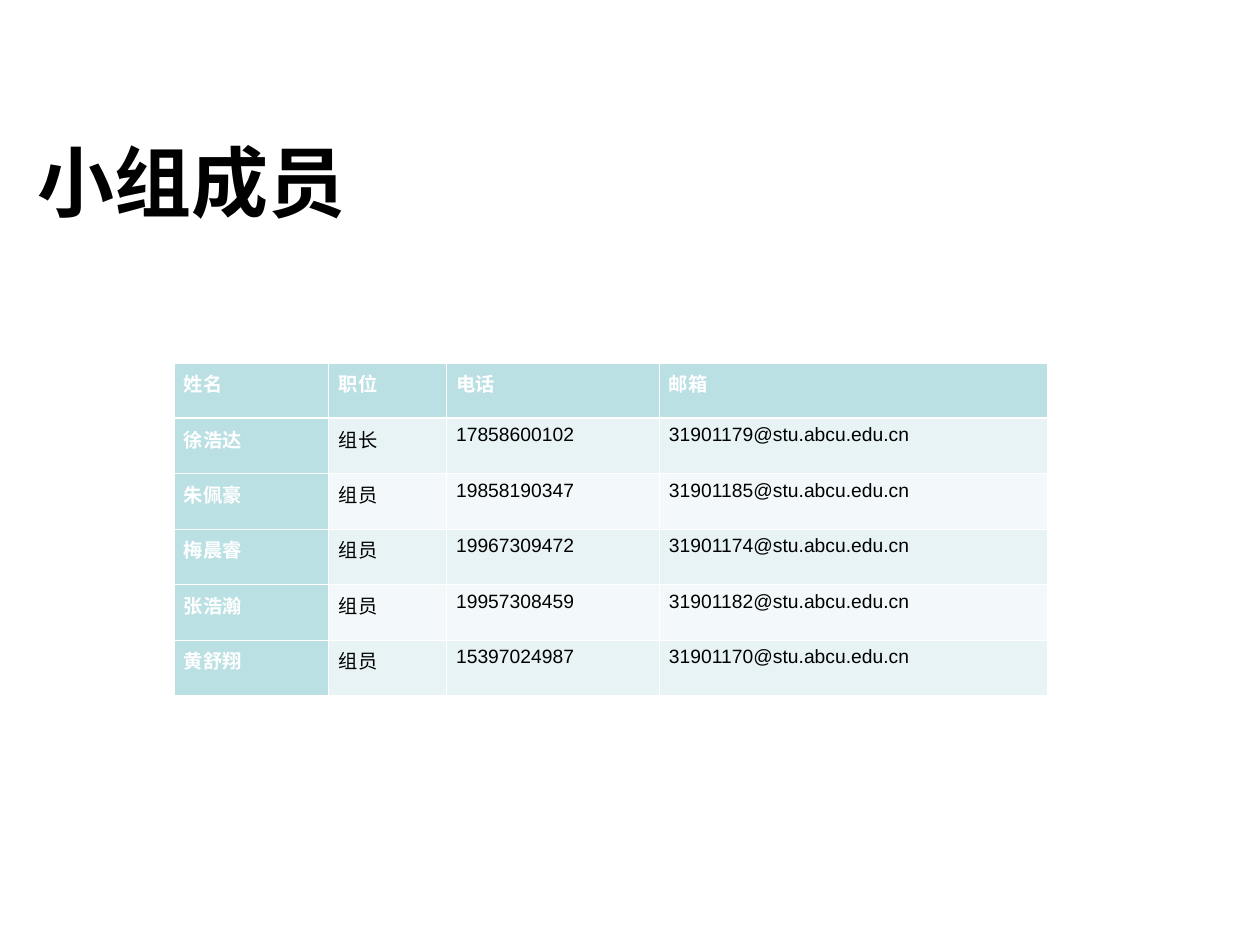
from lxml.etree import SubElement
from pptx import Presentation
from pptx.dml.color import RGBColor
from pptx.enum.text import MSO_ANCHOR, PP_ALIGN
from pptx.oxml.ns import qn
from pptx.util import Inches, Pt

COLORS = {
    "black": "000000",
    "white": "FFFFFF",
    "header": "BBE0E3",
    "odd_row": "E7F3F4",
    "even_row": "F3F9FA",
}
FONT = "Arial"
THIN, THICK = 0.45, 1.47
COLUMN_WIDTHS = [1.23, 0.93, 1.69, 3.08]
ROW_HEIGHT = 0.44
HEADINGS = ["姓名", "职位", "电话", "邮箱"]
MEMBERS = [
    ["徐浩达", "组长", "17858600102", "31901179@stu.abcu.edu.cn"],
    ["朱佩豪", "组员", "19858190347", "31901185@stu.abcu.edu.cn"],
    ["梅晨睿", "组员", "19967309472", "31901174@stu.abcu.edu.cn"],
    ["张浩瀚", "组员", "19957308459", "31901182@stu.abcu.edu.cn"],
    ["黄舒翔", "组员", "15397024987", "31901170@stu.abcu.edu.cn"],
]


def color(name):
    return RGBColor.from_string(COLORS[name])


def write_text(text_frame, text, size, color_name, bold, alignment):
    text_frame.text = text
    paragraph = text_frame.paragraphs[0]
    paragraph.alignment = alignment
    font = paragraph.runs[0].font
    font.name = FONT
    font.size = Pt(size)
    font.bold = bold
    font.color.rgb = color(color_name)


def add_title(slide, text):
    shape = slide.shapes.add_textbox(Inches(0.2), Inches(0.52), Inches(8.66), Inches(1.83))
    shape.text_frame.word_wrap = True
    shape.text_frame.vertical_anchor = MSO_ANCHOR.MIDDLE
    write_text(shape.text_frame, text, 44, "black", True, PP_ALIGN.LEFT)


def set_borders(cell, top, bottom):
    properties = cell._tc.get_or_add_tcPr()
    widths = {"a:lnL": THIN, "a:lnR": THIN, "a:lnT": top, "a:lnB": bottom}
    for tag, width in widths.items():
        line = SubElement(properties, qn(tag), w=str(Pt(width)))
        fill = SubElement(line, qn("a:solidFill"))
        SubElement(fill, qn("a:srgbClr"), val=COLORS["white"])


def format_cell(cell, text, row, column):
    is_heading = row == 0 or column == 0
    band = "odd_row" if row % 2 else "even_row"
    cell.margin_left = cell.margin_right = Inches(0.08)
    cell.margin_top = cell.margin_bottom = Inches(0.05)
    set_borders(cell, THICK if row == 1 else THIN, THICK if row == 0 else THIN)
    cell.fill.solid()
    cell.fill.fore_color.rgb = color("header" if is_heading else band)
    text_color = "white" if is_heading else "black"
    write_text(cell.text_frame, text, 11, text_color, is_heading, PP_ALIGN.JUSTIFY)


def add_member_table(slide, rows):
    shape = slide.shapes.add_table(
        len(rows), len(COLUMN_WIDTHS), Inches(1.38), Inches(2.88),
        Inches(sum(COLUMN_WIDTHS)), Inches(ROW_HEIGHT * len(rows)))
    table = shape.table
    for column, width in zip(table.columns, COLUMN_WIDTHS):
        column.width = Inches(width)
    for row_index, values in enumerate(rows):
        table.rows[row_index].height = Inches(ROW_HEIGHT)
        for column_index, text in enumerate(values):
            format_cell(table.cell(row_index, column_index), text, row_index, column_index)


def main():
    presentation = Presentation()
    presentation.slide_width = Inches(10)
    presentation.slide_height = Inches(7.5)
    slide = presentation.slides.add_slide(presentation.slide_layouts[6])
    add_title(slide, "小组成员")
    add_member_table(slide, [HEADINGS] + MEMBERS)
    presentation.save("out.pptx")


if __name__ == "__main__":
    main()
